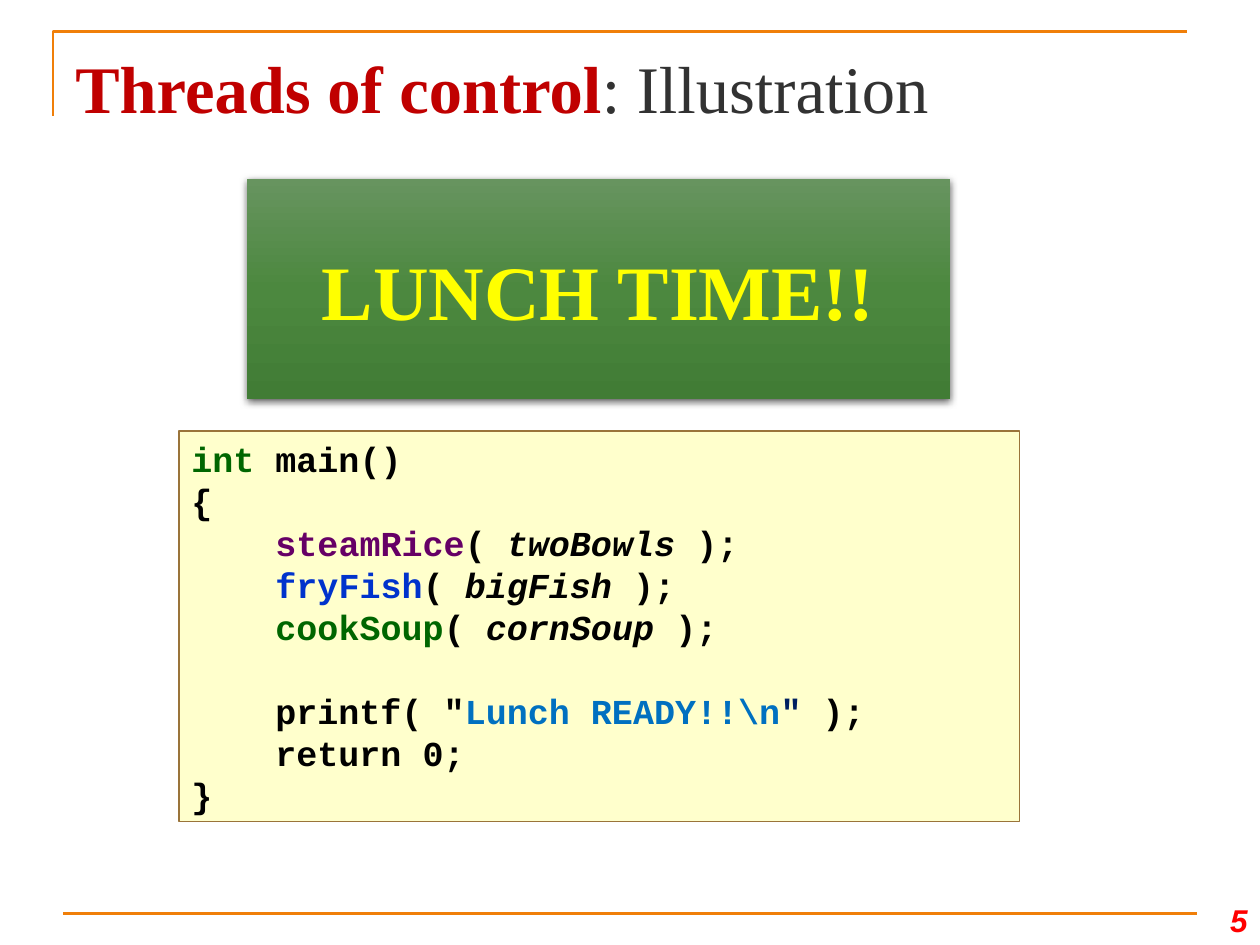
from lxml import etree
from pptx import Presentation
from pptx.dml.color import RGBColor
from pptx.enum.shapes import MSO_CONNECTOR, MSO_SHAPE
from pptx.enum.text import MSO_ANCHOR, PP_ALIGN
from pptx.oxml import parse_xml
from pptx.oxml.ns import nsdecls, qn
from pptx.util import Inches, Pt

RECT = MSO_SHAPE.RECTANGLE
LINE = MSO_CONNECTOR.STRAIGHT
TOP, MIDDLE, BOTTOM = MSO_ANCHOR.TOP, MSO_ANCHOR.MIDDLE, MSO_ANCHOR.BOTTOM
LEFT, CENTER, RIGHT = PP_ALIGN.LEFT, PP_ALIGN.CENTER, PP_ALIGN.RIGHT

ORANGE = RGBColor(0xF0, 0x7F, 0x09)
CRIMSON = RGBColor(0xC0, 0x00, 0x00)
RED = RGBColor(0xFF, 0x00, 0x00)
GRAY = RGBColor(0x32, 0x32, 0x32)
BLACK = RGBColor(0x00, 0x00, 0x00)
YELLOW = RGBColor(0xFF, 0xFF, 0x00)
CREAM = RGBColor(0xFF, 0xFF, 0xCC)
BROWN = RGBColor(0x9A, 0x74, 0x3A)
GREEN = RGBColor(0x00, 0x66, 0x00)
PURPLE = RGBColor(0x66, 0x00, 0x66)
BLUE = RGBColor(0x00, 0x33, 0xCC)
SKY = RGBColor(0x00, 0x70, 0xC0)
NAVY = RGBColor(0x00, 0x20, 0x60)

SERIF, SANS, MONO = "Times New Roman", "Arial", "Courier New"

GRADIENT = f"""<a:gradFill {nsdecls('a')} rotWithShape="1"><a:gsLst>
<a:gs pos="0"><a:srgbClr val="67945F"/></a:gs>
<a:gs pos="50000"><a:srgbClr val="4C883F"/></a:gs>
<a:gs pos="100000"><a:srgbClr val="417C35"/></a:gs>
</a:gsLst><a:lin ang="5400000" scaled="0"/></a:gradFill>"""
SHADOW = f"""<a:effectLst {nsdecls('a')}>
<a:outerShdw blurRad="57150" dist="19050" dir="5400000" algn="ctr" rotWithShape="0">
<a:srgbClr val="000000"><a:alpha val="63000"/></a:srgbClr>
</a:outerShdw></a:effectLst>"""


def call(name, color, arg):
    return [("    ", BLACK), (name, color), ("( ", BLACK),
            (arg, BLACK, True, True), (" );", BLACK)]


CODE = [
    [("int", GREEN), (" main()", BLACK)],
    [("{", BLACK)],
    call("steamRice", PURPLE, "twoBowls"),
    call("fryFish", BLUE, "bigFish"),
    call("cookSoup", GREEN, "cornSoup"),
    [],
    [('    printf( "', BLACK), ("Lunch READY!!\\n", SKY),
     ('"', NAVY), (" );", BLACK)],
    [("    return 0;", BLACK)],
    [("}", BLACK)],
]


def area(*box):
    return [Inches(part) for part in box]


def add_run(para, font, size, text, color, bold=True, slant=False):
    run = para.add_run()
    run.text = text
    run.font.name = font
    run.font.size = Pt(size)
    run.font.color.rgb = color
    run.font.bold = bold
    run.font.italic = slant


def write(shape, lines, font, size, align=LEFT, anchor=TOP, wrap=True, pitch=None):
    frame = shape.text_frame
    frame.word_wrap = wrap
    frame.vertical_anchor = anchor
    for row, runs in enumerate(lines):
        para = frame.add_paragraph() if row else frame.paragraphs[0]
        para.alignment = align
        para.font.size = Pt(size)
        if pitch:
            para.line_spacing = Pt(pitch)
        for run in runs:
            add_run(para, font, size, *run)


def add_label(slide, box, runs, font, size, **style):
    write(slide.shapes.add_textbox(*area(*box)), [runs], font, size, **style)


def add_corner(slide):
    draft = slide.shapes.build_freeform(Inches(0.42), Inches(0.92))
    draft.add_line_segments(
        [area(0.42, 0.25), area(9.42, 0.25)], close=False)
    corner = draft.convert_to_shape()
    corner.shadow.inherit = False
    corner.fill.background()
    corner.line.color.rgb = ORANGE
    corner.line.width = Pt(1.5)


def add_rule(slide):
    rule = slide.shapes.add_connector(LINE, *area(0.5, 7.25, 9.5, 7.25))
    rule.line.color.rgb = ORANGE
    rule.line.width = Pt(1.5)
    etree.SubElement(rule.element.spPr, qn("a:effectLst"))


def add_code(slide):
    panel = slide.shapes.add_shape(RECT, *area(1.42, 3.42, 6.67, 3.1))
    panel.shadow.inherit = False
    panel.fill.solid()
    panel.fill.fore_color.rgb = CREAM
    panel.line.color.rgb = BROWN
    panel.line.width = Pt(0.75)
    write(panel, CODE, MONO, 20, pitch=24)


def add_banner(slide):
    banner = slide.shapes.add_shape(RECT, *area(1.96, 1.42, 5.58, 1.75))
    banner.line.fill.background()
    props = banner.element.spPr
    props.find(qn("a:ln")).addprevious(parse_xml(GRADIENT))
    props.append(parse_xml(SHADOW))
    write(banner, [[("LUNCH TIME!!", YELLOW)]], SERIF, 44,
          align=CENTER, anchor=MIDDLE, wrap=False)


def main():
    deck = Presentation()
    deck.slide_width, deck.slide_height = area(10, 7.5)
    slide = deck.slides.add_slide(deck.slide_layouts[6])
    add_corner(slide)
    add_rule(slide)
    add_label(slide, (9.42, 7, 0.58, 0.5), [("5", RED, True, True)],
              SANS, 18, align=RIGHT, anchor=BOTTOM)
    add_label(slide, (0.5, 0.3, 9, 0.78),
              [("Threads of control", CRIMSON), (": Illustration", GRAY, False)],
              SERIF, 38, anchor=MIDDLE)
    add_code(slide)
    add_banner(slide)
    deck.save("out.pptx")


if __name__ == "__main__":
    main()
